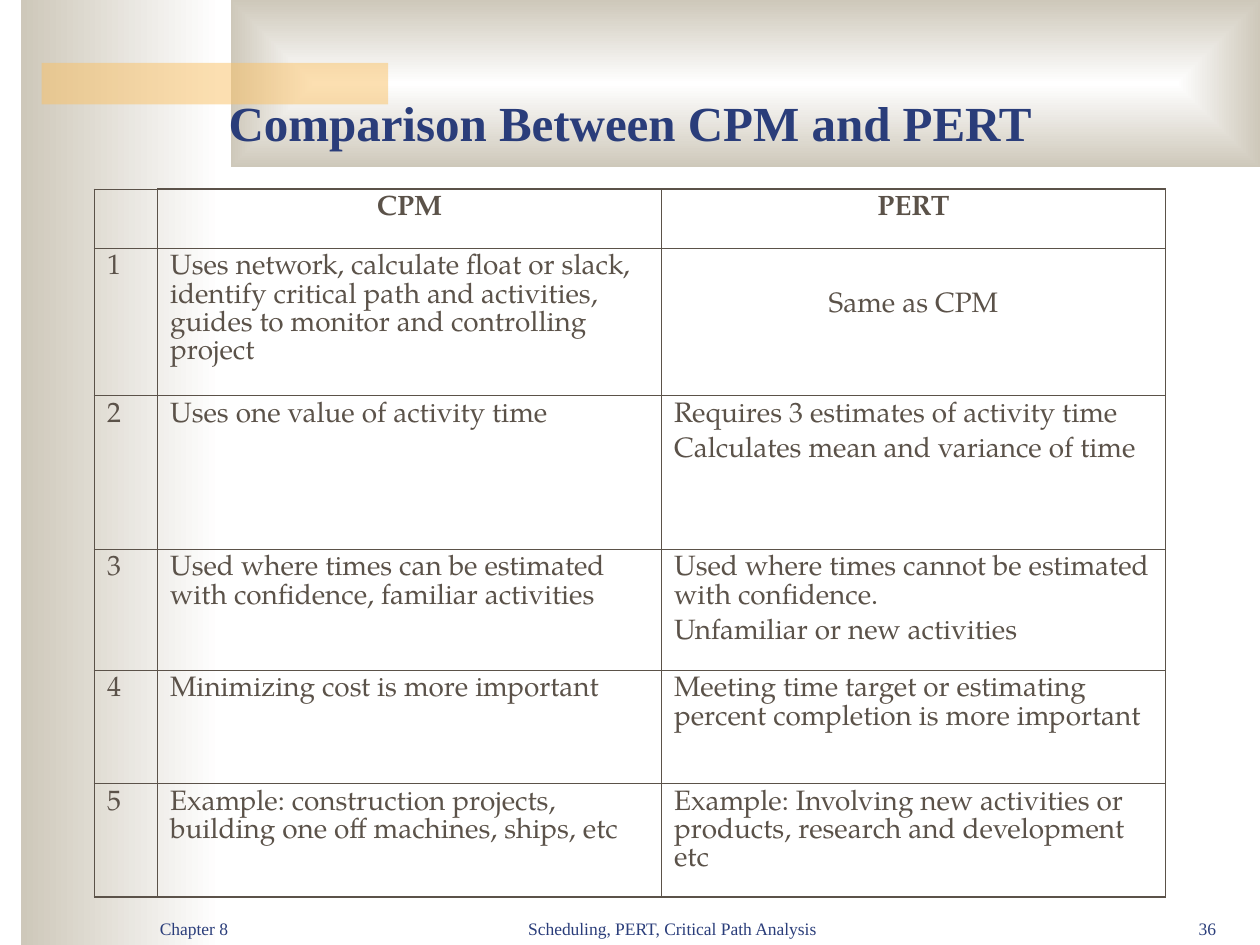
from dataclasses import dataclass

from lxml.etree import SubElement
from pptx import Presentation
from pptx.dml.color import RGBColor
from pptx.enum.shapes import MSO_SHAPE
from pptx.enum.text import MSO_ANCHOR, PP_ALIGN
from pptx.oxml import parse_xml
from pptx.oxml.ns import nsdecls, qn
from pptx.util import Inches, Pt


@dataclass(frozen=True)
class Theme:
    navy: str = "2A3D7A"
    brown: str = "5B5249"
    tan: str = "CEC8BA"
    amber: str = "FAC164"
    white: str = "FFFFFF"
    serif: str = "Times New Roman"
    body: str = "TeX Gyre Pagella"
    title_size: float = 28
    body_size: float = 16
    footer_size: float = 10
    thin: float = 0.45
    thick: float = 1.08


THEME = Theme()

# Content
TITLE = "Comparison Between CPM and PERT"
HEADER = ("", "CPM", "PERT")
COMPARISON = [
    (["Uses network, calculate float or slack, identify critical path and activities, "
      "guides to monitor and controlling project"],
     ["Same as CPM"]),
    (["Uses one value of activity time"],
     ["Requires 3 estimates of activity time", "Calculates mean and variance of time"]),
    (["Used where times can be estimated with confidence, familiar activities"],
     ["Used where times cannot be estimated with confidence.", "Unfamiliar or new activities"]),
    (["Minimizing cost is more important"],
     ["Meeting time target or estimating percent completion is more important"]),
    (["Example: construction projects, building one off machines, ships, etc"],
     ["Example: Involving new activities or products, research and development etc"]),
]
FOOTERS = [  # text, left, width, alignment
    ("Scheduling, PERT, Critical Path Analysis", 3.75, 3.17, PP_ALIGN.CENTER),
    ("36", 8.75, 1, PP_ALIGN.RIGHT),
    ("Chapter 8", 1.17, 2.08, PP_ALIGN.LEFT),
]

# Layout, in inches
TITLE_BOX = (0.75, 0.67, 8.5, 0.58)
TABLE_LEFT, TABLE_TOP = 0.75, 1.5
COLUMNS = (0.5, 4, 4)
ROWS = (0.47, 1.17, 1.22, 0.96, 0.9, 0.9)
FOOTER_TOP, FOOTER_HEIGHT = 7, 0.5
SAME_AS_MARGIN = 0.35


def style(paragraph, face, size, color, bold=False, align=PP_ALIGN.LEFT):
    paragraph.alignment = align
    font = paragraph.font
    font.name, font.size, font.bold = face, Pt(size), bold
    font.color.rgb = RGBColor.from_string(color)


def add_panel(slide, box, color):
    panel = slide.shapes.add_shape(MSO_SHAPE.RECTANGLE, *map(Inches, box))
    panel.shadow.inherit = False
    panel.line.fill.background()
    panel.fill.solid()
    panel.fill.fore_color.rgb = RGBColor.from_string(color)
    return panel


def fade_from_white(panel, direction):
    """Replace the solid fill by a gradient from white to tan."""
    solid = panel._element.spPr.find(qn("a:solidFill"))
    stops = "".join(
        f'<a:gs pos="{pos}"><a:srgbClr val="{color}"/></a:gs>'
        for pos, color in ((0, THEME.white), (100000, THEME.tan)))
    gradient = parse_xml(
        f'<a:gradFill rotWithShape="1" {nsdecls("a")}>'
        f'<a:gsLst>{stops}</a:gsLst>{direction}</a:gradFill>')
    panel._element.spPr.replace(solid, gradient)


def set_borders(cell, widths):
    properties = cell._tc.get_or_add_tcPr()
    for index, (side, width) in enumerate(zip("LRTB", widths)):
        border = parse_xml(
            f'<a:ln{side} w="{Pt(width)}" {nsdecls("a")}><a:solidFill>'
            f'<a:srgbClr val="{THEME.brown}"/></a:solidFill></a:ln{side}>')
        properties.insert(index, border)


def add_background(slide):
    side = add_panel(slide, (0.17, 0, 1.58, 7.5), THEME.tan)
    fade_from_white(side, '<a:lin ang="10800000" scaled="0"/>')
    banner = add_panel(slide, (1.83, 0, 8.17, 1.33), THEME.tan)
    fade_from_white(banner, '<a:path path="rect"><a:fillToRect l="50000" t="50000" '
                            'r="50000" b="50000"/></a:path>')
    accent = add_panel(slide, (0.33, 0.5, 2.75, 0.33), THEME.amber)
    amber = accent._element.spPr.find(qn("a:solidFill"))[0]
    SubElement(amber, qn("a:alpha")).set("val", "50000")


def add_title(slide):
    title = slide.shapes.title
    title.left, title.top, title.width, title.height = map(Inches, TITLE_BOX)
    title.text_frame.text = TITLE
    title.text_frame.vertical_anchor = MSO_ANCHOR.BOTTOM
    style(title.text_frame.paragraphs[0], THEME.serif, THEME.title_size, THEME.navy,
          bold=True, align=PP_ALIGN.CENTER)
    # Bring the title in front of the background panels
    slide.shapes._spTree.append(title._element)


def add_comparison(slide):
    contents = [[[label] for label in HEADER]]
    contents += [[[str(number)], cpm, pert]
                 for number, (cpm, pert) in enumerate(COMPARISON, 1)]
    table = slide.shapes.add_table(
        len(ROWS), len(COLUMNS), Inches(TABLE_LEFT), Inches(TABLE_TOP),
        Inches(sum(COLUMNS)), Inches(sum(ROWS))).table
    table.first_row = table.horz_banding = False
    for column, width in zip(table.columns, COLUMNS):
        column.width = Inches(width)
    for row, height in zip(table.rows, ROWS):
        row.height = Inches(height)

    last_row, last_column = len(ROWS) - 1, len(COLUMNS) - 1
    for r, row_texts in enumerate(contents):
        for c, lines in enumerate(row_texts):
            cell = table.cell(r, c)
            cell.fill.background()
            outer = (c == 0, c == last_column, r == 0 and c > 0, r == last_row)
            set_borders(cell, [THEME.thick if edge else THEME.thin for edge in outer])
            same_as = lines == ["Same as CPM"]
            if same_as:
                cell.margin_top = Inches(SAME_AS_MARGIN)
            cell.text_frame.text = "\n".join(lines)
            for paragraph in cell.text_frame.paragraphs:
                paragraph.space_before = Pt(4)
                style(paragraph, THEME.body, THEME.body_size, THEME.brown, bold=r == 0,
                      align=PP_ALIGN.CENTER if r == 0 or same_as else PP_ALIGN.LEFT)


def add_footers(slide):
    for text, left, width, align in FOOTERS:
        frame = slide.shapes.add_textbox(
            Inches(left), Inches(FOOTER_TOP), Inches(width), Inches(FOOTER_HEIGHT)).text_frame
        frame.word_wrap = True
        frame.vertical_anchor = MSO_ANCHOR.BOTTOM
        frame.text = text
        style(frame.paragraphs[0], THEME.serif, THEME.footer_size, THEME.navy, align=align)


def main():
    deck = Presentation()
    deck.slide_width, deck.slide_height = Inches(10), Inches(7.5)
    slide = deck.slides.add_slide(deck.slide_layouts[5])
    add_background(slide)
    add_title(slide)
    add_comparison(slide)
    add_footers(slide)
    deck.save("out.pptx")


if __name__ == "__main__":
    main()
